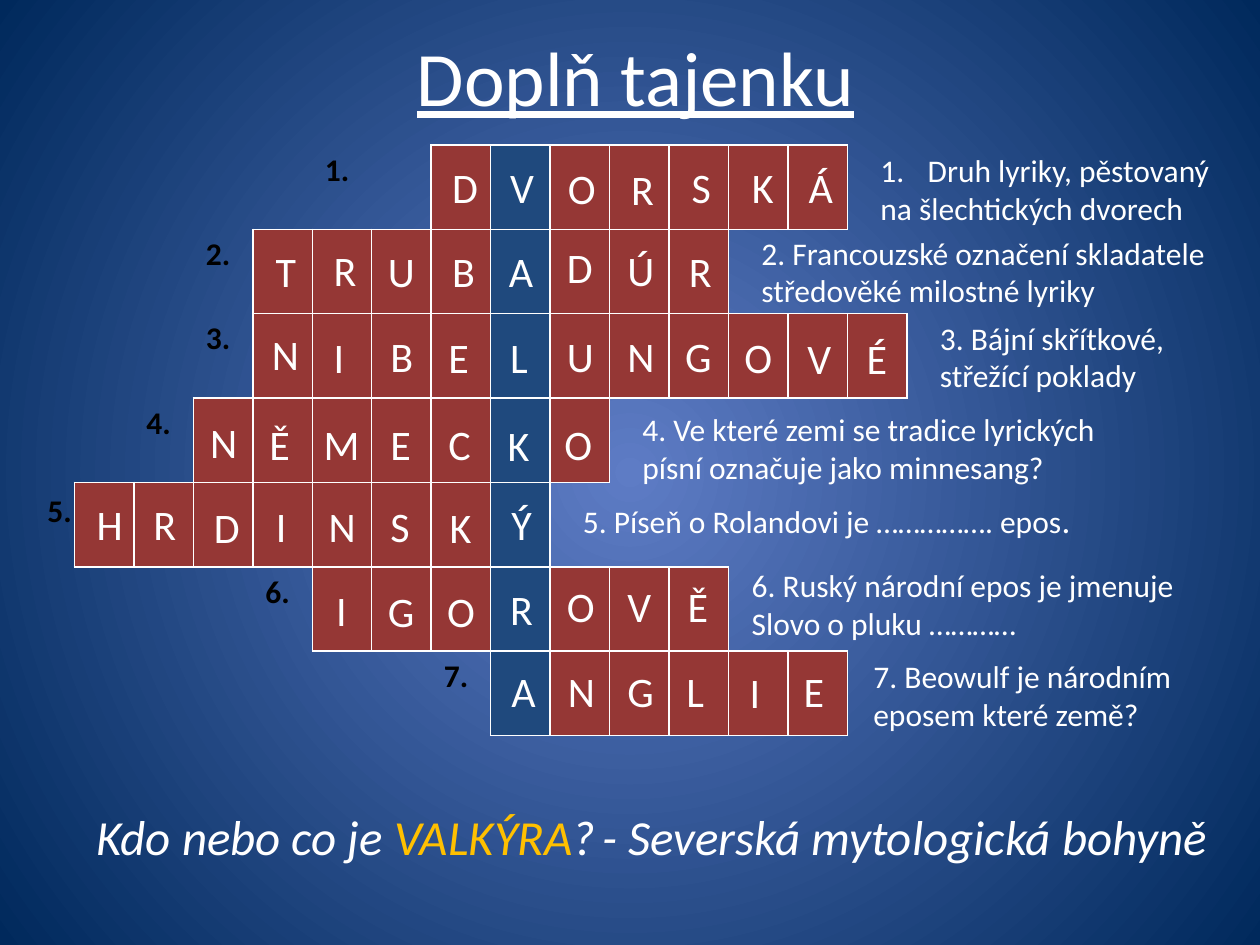
from collections import namedtuple
from dataclasses import dataclass

from lxml import etree
from pptx import Presentation
from pptx.dml.color import RGBColor
from pptx.enum.text import MSO_ANCHOR, MSO_AUTO_SIZE, PP_ALIGN
from pptx.oxml.ns import qn
from pptx.util import Pt

Box = namedtuple("Box", "left top width height")
Row = namedtuple("Row", "word start label insets drops")
Hint = namedtuple("Hint", "left top width height lines")


@dataclass(frozen=True)
class Theme:
    font: str = "Calibri"
    white: str = "FFFFFF"
    black: str = "000000"
    gold: str = "FFC000"
    red: str = "953735"
    blue: str = "1F497D"
    glow: str = "5E7CC5"
    edge: str = "00295C"
    title: int = 44
    answer: int = 28
    letter: int = 24
    dot: int = 20
    text: int = 18


THEME = Theme()
COLUMNS = 14
KEY_COLUMN = 7
NO_GRID_STYLE = "{2D5ABB26-0587-4C30-8999-92F81FD0307C}"

ROWS = [
    Row("DVORSKÁ", 6, 4, [4.8, 3.9, 3, 5, 5.6, 6.1, 4.5],
        [5.8, 5.8, 6.5, 7.2, 5.8, 5.8, 5.8]),
    Row("TRUBADÚR", 3, 2, [6, 5.1, 2.1, 4.8, 3.2, 2.3, 2.9, 4.1],
        [5.8, 5, 5.8, 5.8, 5.8, 3.6, 5, 5.8]),
    Row("NIBELUNGOVÉ", 3, 2, [3.8, 5.1, 3.5, 2.6, 3.9, 2.3, 2.9, 2, 1.8, 3.8, 3.7],
        [5, 6.5, 5.8, 6.5, 6.5, 5.8, 5.8, 5.8, 6.5, 7.2, 7.2]),
    Row("NĚMECKO", 2, 1, [2.5, 2.4, -0.7, 3.5, 2.6, 2.5, 0.9],
        [7.2, 7.9, 7.9, 7.9, 7.9, 8.6, 7.9]),
    Row("HRDINSKÝ", 0, None, [5.7, 4.1, 4.7, 6, 2.2, 3.5, 3.3, 4.6],
        [5.8, 5.8, 7.2, 6.5, 6.5, 6.5, 7.2, 5.8]),
    Row("IGOROVĚ", 4, 3, [6.5, 2.1, 1.9, 3.9, 2.3, 2.9, 3.4],
        [6.5, 7.2, 7.2, 5.8, 4.3, 4.3, 4.3]),
    Row("ANGLIE", 7, 6, [4.6, 3, 2.9, 2.7, 4.7, 1.7],
        [4.3, 4.3, 4.3, 4.3, 5, 4.3]),
]
LETTER_WIDTHS = {
    "I": 21, "L": 24.5, "S": 26, "TEÉĚÝ": 26.6, "BCKR": 27.4,
    "VAÁ": 28.4, "DGHNOUÚ": 30, "M": 35.3,
}
HINTS = [
    Hint(170, 0, 209, 51, ["Druh lyriky, pěstovaný", "na šlechtických dvorech"]),
    Hint(102, 47, 275, 51, ["2. Francouzské označení skladatele", "středověké milostné lyriky"]),
    Hint(204, 95.5, 148, 51, ["3. Bájní skřítkové,", "střežící poklady"]),
    Hint(34, 148, 280, 51, ["4. Ve které zemi se tradice lyrických", "písní označuje jako minnesang?"]),
    Hint(0, 198.5, 296, 32, ["5. Píseň o Rolandovi je ……………. epos"]),
    Hint(96.5, 237, 263, 51, ["6. Ruský národní epos je jmenuje", "Slovo o pluku …………"]),
    Hint(166, 289, 191, 51, ["7. Beowulf je národním", "eposem které země?"]),
]


def style(font, size, color, **flags):
    font.name = THEME.font
    font.size = Pt(size)
    font.color.rgb = RGBColor.from_string(color)
    for name, value in flags.items():
        setattr(font, name, value)


def add_text(page, box, lines, size, color, **flags):
    frame = page.shapes.add_textbox(*map(Pt, box)).text_frame
    frame.word_wrap = False
    frame.auto_size = MSO_AUTO_SIZE.SHAPE_TO_FIT_TEXT
    for index, line in enumerate(lines):
        para = frame.paragraphs[0] if index == 0 else frame.add_paragraph()
        para.add_run().text = line
        style(para.font, size, color, **flags)
    return frame


def paint_background(page):
    fill = page.background.fill
    fill.gradient()
    for stop, color, position in zip(fill.gradient_stops, (THEME.glow, THEME.edge), (0, 1)):
        stop.color.rgb = RGBColor.from_string(color)
        stop.position = position
    gradient = page.element.find(".//" + qn("a:gradFill"))
    gradient.remove(gradient.find(qn("a:lin")))
    circle = etree.SubElement(gradient, qn("a:path"), {"path": "circle"})
    etree.SubElement(circle, qn("a:fillToRect"), dict.fromkeys("ltrb", "50000"))


def place_title(page, box, text):
    title = page.shapes.title
    title.left, title.top, title.width, title.height = map(Pt, box)
    frame = title.text_frame
    frame.text = text
    frame.vertical_anchor = MSO_ANCHOR.MIDDLE
    para = frame.paragraphs[0]
    para.alignment = PP_ALIGN.CENTER
    style(para.font, THEME.title, THEME.white, underline=True)


def outline_cell(cell):
    properties = cell._tc.get_or_add_tcPr()
    for index, side in enumerate("LRTB"):
        line = etree.Element(qn("a:ln" + side), {"w": str(Pt(1))})
        solid = etree.SubElement(line, qn("a:solidFill"))
        etree.SubElement(solid, qn("a:srgbClr"), {"val": THEME.white})
        properties.insert(index, line)


def place_grid(page, box):
    shape = page.shapes.add_table(len(ROWS), COLUMNS, *map(Pt, box))
    table = shape.table
    table.first_row = table.horz_banding = False
    shape.element.find(".//" + qn("a:tableStyleId")).text = NO_GRID_STYLE
    for column in table.columns:
        column.width = Pt(box.width / COLUMNS)
    for number, (row, line) in enumerate(zip(ROWS, table.rows), 1):
        line.height = Pt(box.height / len(ROWS))
        for index, cell in enumerate(line.cells):
            if row.start <= index < row.start + len(row.word):
                cell.fill.solid()
                color = THEME.blue if index == KEY_COLUMN else THEME.red
                cell.fill.fore_color.rgb = RGBColor.from_string(color)
                outline_cell(cell)
            else:
                cell.fill.background()
            if index == row.label:
                cell.text = f"{number}."
                style(cell.text_frame.paragraphs[0].font, THEME.text, THEME.black, bold=True)


def place_letters(page, box):
    widths = {letter: width for group, width in LETTER_WIDTHS.items() for letter in group}
    cell_width, cell_height = box.width / COLUMNS, box.height / len(ROWS)
    for index, row in enumerate(ROWS):
        for step, (letter, inset, drop) in enumerate(zip(row.word, row.insets, row.drops)):
            left = box.left + (row.start + step) * cell_width + inset
            top = box.top + index * cell_height + drop
            add_text(page, Box(left, top, widths[letter], 36), [letter], THEME.letter, THEME.white)


def place_hints(page, box):
    frames = []
    for hint in HINTS:
        area = Box(box.left + hint.left, box.top + hint.top, hint.width, hint.height)
        frames.append(add_text(page, area, hint.lines, THEME.text, THEME.white))
    numbered = frames[0].paragraphs[0]._p.get_or_add_pPr()
    numbered.set("marL", str(Pt(27)))
    numbered.set("indent", str(-Pt(27)))
    bullet = etree.Element(qn("a:buAutoNum"), {"type": "arabicPeriod"})
    numbered.insert(0, bullet)
    span = frames[4].paragraphs[0].add_run()
    span.text = "."
    span.font.size = Pt(THEME.dot)


def place_answer(page, box):
    question = Box(box.left, box.top, 308, box.height)
    frame = add_text(page, question, ["Kdo nebo co je "], THEME.answer, THEME.white, italic=True)
    for text, color in (("VALKÝRA", THEME.gold), ("?", THEME.white)):
        span = frame.paragraphs[0].add_run()
        span.text = text
        span.font.color.rgb = RGBColor.from_string(color)
    reply = Box(box.left + 289, box.top, box.width - 289, box.height)
    add_text(page, reply, ["- Severská mytologická bohyně"], THEME.answer, THEME.white, italic=True)


def main():
    deck = Presentation()
    deck.slide_width, deck.slide_height = Pt(720), Pt(540)
    page = deck.slides.add_slide(deck.slide_layouts[5])
    grid = Box(42.5, 82.8, 476, 337.7)
    paint_background(page)
    place_title(page, Box(14.4, 9.4, 697.7, 67.7), "Doplň tajenku")
    place_grid(page, grid)
    place_hints(page, Box(326, 83, 379, 340))
    add_text(page, Box(20, 277, 30, 29), ["5."], THEME.text, THEME.black, bold=True)
    place_letters(page, grid)
    place_answer(page, Box(48, 457.2, 655, 41))
    deck.save("out.pptx")


if __name__ == "__main__":
    main()
